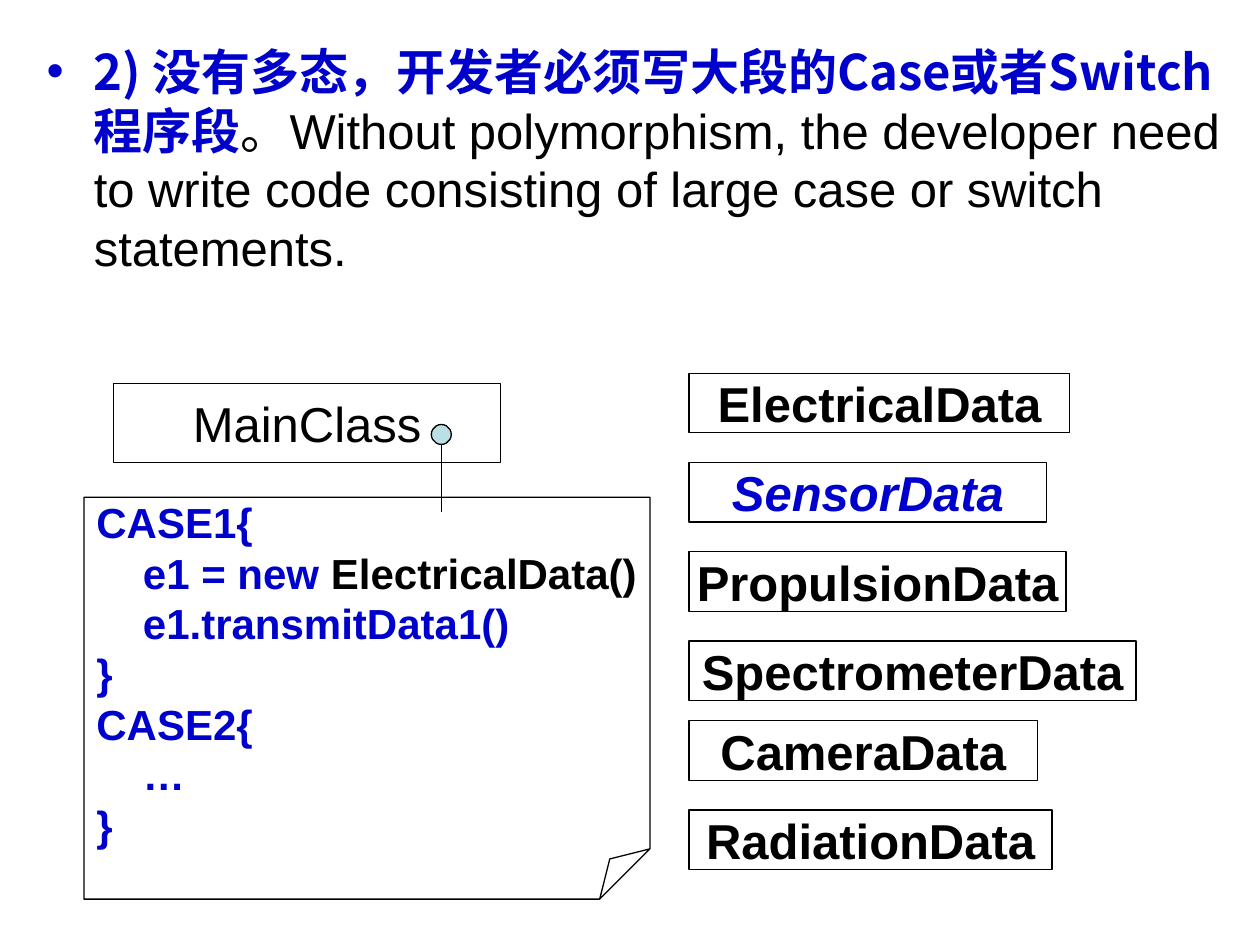
from lxml.etree import SubElement
from pptx import Presentation
from pptx.dml.color import RGBColor
from pptx.enum.shapes import MSO_CONNECTOR, MSO_SHAPE
from pptx.enum.text import MSO_ANCHOR, PP_ALIGN
from pptx.oxml.ns import qn
from pptx.util import Pt

COLORS = {"blue": "0000CC", "black": "000000", "white": "FFFFFF", "dot": "BBE0E3"}
LATIN, CHINESE = "Arial", "Noto Sans CJK SC"
LINE_WIDTH = Pt(0.75)


def color(name):
    return RGBColor.from_string(COLORS[name])


def add_run(paragraph, text, color_name="black", **formats):
    run = paragraph.add_run()
    run.text = text
    for name, value in {"name": LATIN, "size": Pt(28), **formats}.items():
        setattr(run.font, name, value)
    run.font.color.rgb = color(color_name)
    if run.font.name == CHINESE:
        SubElement(run.font._element, qn("a:ea"), typeface=CHINESE)


def add_outlined(slide, kind, box, fill=None):
    shape = slide.shapes.add_shape(kind, *map(Pt, box))
    shape.shadow.inherit = False
    if fill:
        shape.fill.solid()
        shape.fill.fore_color.rgb = color(fill)
    else:
        shape.fill.background()
    shape.line.color.rgb = color("black")
    shape.line.width = LINE_WIDTH
    shape.text_frame.word_wrap = False
    shape.text_frame.vertical_anchor = MSO_ANCHOR.MIDDLE
    return shape


def add_class_box(slide, box, name, fill=None, color_name="black", **formats):
    shape = add_outlined(slide, MSO_SHAPE.RECTANGLE, box, fill)
    paragraph = shape.text_frame.paragraphs[0]
    paragraph.alignment = PP_ALIGN.CENTER
    add_run(paragraph, name, color_name, **formats)


def add_statement(slide, box):
    frame = slide.shapes.add_textbox(*map(Pt, box)).text_frame
    frame.word_wrap = True
    paragraph = frame.paragraphs[0]
    properties = paragraph._p.get_or_add_pPr()
    properties.set("marL", str(Pt(27)))
    properties.set("indent", str(-Pt(27)))
    bullet_color = SubElement(properties, qn("a:buClr"))
    SubElement(bullet_color, qn("a:srgbClr"), val=COLORS["blue"])
    SubElement(properties, qn("a:buFont"), typeface=LATIN)
    SubElement(properties, qn("a:buChar"), char="•")
    add_run(paragraph, "2) 没有多态，开发者必须写大段的Case或者Switch程序段",
            "blue", name=CHINESE, bold=True)
    add_run(paragraph, "。", name=CHINESE)
    add_run(paragraph, "Without polymorphism, the developer need to write code "
                       "consisting of large case or switch statements.")


def add_code_note(slide, box):
    lines = [
        [("CASE1{", "blue")],
        [("    e1 = new ", "blue"), ("ElectricalData()", "black")],
        [("    e1.transmitData1()", "blue")],
        [("}", "blue")],
        [("CASE2{", "blue")],
        [("    …", "blue")],
        [("}", "blue")],
    ]
    shape = add_outlined(slide, MSO_SHAPE.FOLDED_CORNER, box)
    adjustments = shape._element.spPr.find(qn("a:prstGeom")).get_or_add_avLst()
    for guide in list(adjustments):
        adjustments.remove(guide)
    SubElement(adjustments, qn("a:gd"), name="adj", fmla="val 12500")
    frame = shape.text_frame
    for index, line in enumerate(lines):
        paragraph = frame.add_paragraph() if index else frame.paragraphs[0]
        paragraph.alignment = PP_ALIGN.LEFT
        for text, color_name in line:
            add_run(paragraph, text, color_name, size=Pt(24), bold=True)


def add_note_anchor(slide, box):
    """Draw a dot at the top of the box and a line from it to the bottom."""
    left, top, diameter, height = box
    center = left + diameter / 2
    line = slide.shapes.add_connector(
        MSO_CONNECTOR.STRAIGHT,
        *map(Pt, (center, top + diameter - 1, center, top + height)))
    line.line.color.rgb = color("black")
    line.line.width = LINE_WIDTH
    SubElement(line._element.spPr, qn("a:effectLst"))
    add_outlined(slide, MSO_SHAPE.OVAL, (left, top, diameter, diameter), "dot")


def add_data_classes(slide, left, top):
    classes = [  # name, offset from top, width
        ("ElectricalData", 0, 217.6),
        ("SensorData", 51, 204.3),
        ("PropulsionData", 102, 215.4),
        ("SpectrometerData", 153, 255.4),
        ("CameraData", 198.6, 199),
        ("RadiationData", 249.6, 207.4),
    ]
    for name, offset, width in classes:
        is_base = name == "SensorData"
        add_class_box(slide, (left, top + offset, width, 34), name, "white",
                      "blue" if is_base else "black", bold=True, italic=is_base)


def main():
    presentation = Presentation()
    presentation.slide_width, presentation.slide_height = Pt(720), Pt(540)
    slide = presentation.slides.add_slide(presentation.slide_layouts[6])
    add_statement(slide, (19.5, 20, 686, 193))
    add_class_box(slide, (65, 219, 221, 45.4), "MainClass")
    add_code_note(slide, (48, 284.2, 323.4, 229.6))
    add_note_anchor(slide, (246.5, 242.6, 11.4, 50.2))
    add_data_classes(slide, 393.8, 213.3)
    presentation.save("out.pptx")


if __name__ == "__main__":
    main()
